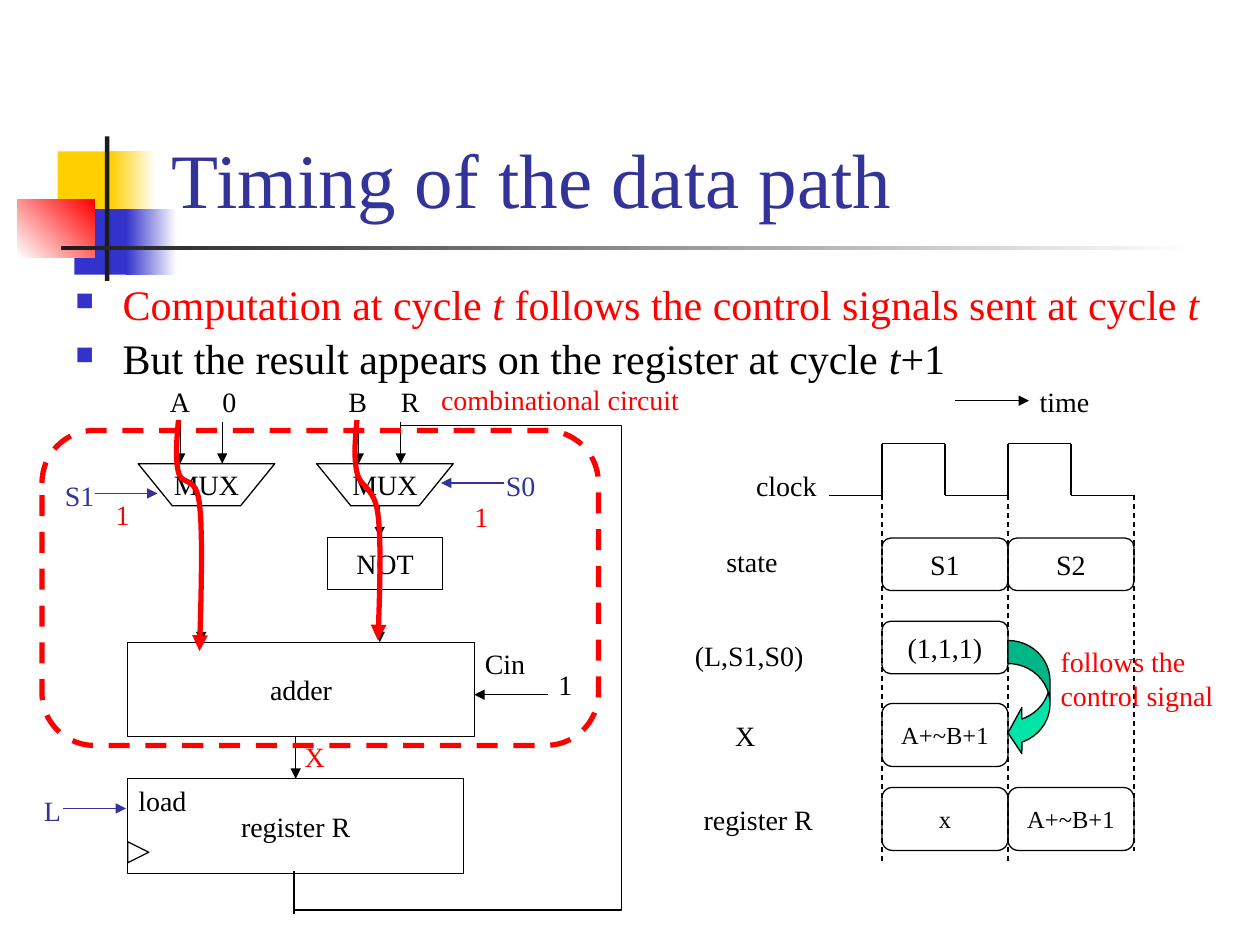
import pptx
import pptx.dml.color
import pptx.enum.dml
import pptx.enum.shapes
import pptx.enum.text
import pptx.oxml.ns
import pptx.oxml.xmlchemy
import pptx.util

Pt = pptx.util.Pt
RGBColor = pptx.dml.color.RGBColor
SHAPE = pptx.enum.shapes.MSO_SHAPE
ANCHOR = pptx.enum.text.MSO_ANCHOR
ALIGN = pptx.enum.text.PP_ALIGN
DASH = pptx.enum.dml.MSO_LINE.DASH
qn = pptx.oxml.ns.qn

BLACK = RGBColor(0x00, 0x00, 0x00)
WHITE = RGBColor(0xFF, 0xFF, 0xFF)
RED = RGBColor(0xFF, 0x00, 0x00)
NAVY = RGBColor(0x33, 0x33, 0x99)
BLUE = RGBColor(0x33, 0x33, 0xCC)
YELLOW = RGBColor(0xFF, 0xCF, 0x01)
CHARCOAL = RGBColor(0x1C, 0x1C, 0x1C)
GREEN = RGBColor(0x00, 0xE4, 0xA8)
FONT = "Times New Roman"


def add_run(paragraph, text, size=16, color=BLACK, italic=False):
    run = paragraph.add_run()
    run.text = text
    run.font.name, run.font.size = FONT, Pt(size)
    run.font.color.rgb, run.font.italic = color, italic


def append_element(parent, tag, **attributes):
    element = pptx.oxml.xmlchemy.OxmlElement(tag)
    for name, value in attributes.items():
        element.set(name, value)
    parent.append(element)
    return element


class Region:
    """A box on the slide; its parts are placed in points from its top left corner."""

    def __init__(self, slide, left, top):
        self.shapes, self.left, self.top = slide.shapes, left, top

    def place(self, x, y):
        return Pt(self.left + x), Pt(self.top + y)

    def label(self, text, x, y, width, color=BLACK):
        lines = text.split("\n")
        box = self.shapes.add_textbox(*self.place(x, y), Pt(width), Pt(7.2 + 19.4 * len(lines)))
        frame = box.text_frame
        frame.word_wrap = False
        for index, line in enumerate(lines):
            paragraph = frame.add_paragraph() if index else frame.paragraphs[0]
            add_run(paragraph, line, color=color)

    def style(self, shape, text="", size=16, fill=None, color=BLACK, weight=0.75):
        shape.shadow.inherit = False
        if fill is None:
            shape.fill.background()
        else:
            shape.fill.solid()
            shape.fill.fore_color.rgb = fill
        shape.line.color.rgb, shape.line.width = color, Pt(weight)
        if text:
            frame = shape.text_frame
            frame.word_wrap, frame.vertical_anchor = False, ANCHOR.MIDDLE
            frame.paragraphs[0].alignment = ALIGN.CENTER
            add_run(frame.paragraphs[0], text, size)
        return shape

    def box(self, kind, x, y, width, height, text="", **look):
        shape = self.shapes.add_shape(kind, *self.place(x, y), Pt(width), Pt(height))
        return self.style(shape, text, **look)

    def outline(self, points, text="", closed=False, **look):
        start, *rest = [self.place(*point) for point in points]
        builder = self.shapes.build_freeform(*start)
        builder.add_line_segments(rest, close=closed)
        return self.style(builder.convert_to_shape(), text, **look)

    def line(self, start, end, color=BLACK, arrow=False, dashed=False):
        kind = pptx.enum.shapes.MSO_CONNECTOR.STRAIGHT
        connector = self.shapes.add_connector(kind, *self.place(*start), *self.place(*end))
        connector.line.color.rgb, connector.line.width = color, Pt(0.75)
        if dashed:
            connector.line.dash_style = DASH
        if arrow:
            add_arrowhead(connector)
        append_element(connector.element.spPr, "a:effectLst")


def add_arrowhead(shape):
    append_element(shape.element.spPr.find(qn("a:ln")), "a:tailEnd", type="triangle")


def curve_points(start, segments, steps=12):
    """Points along a chain of cubic Bezier segments."""
    points = [start]
    for first, second, end in segments:
        corners = (points[-1], first, second, end)
        for step in range(1, steps + 1):
            t = step / steps
            weights = ((1 - t) ** 3, 3 * t * (1 - t) ** 2, 3 * t * t * (1 - t), t ** 3)
            points.append(tuple(sum(w * corner[axis] for w, corner in zip(weights, corners))
                                for axis in (0, 1)))
    return points


def draw_emblem(region):
    # x, y, width, height, colours from start to end, angle
    blocks = [
        (23, 8.5, 35, 37.5, (YELLOW,), 0), (53, 8.5, 26, 37.5, (YELLOW, WHITE), 0),
        (32.5, 41.5, 33, 37.5, (BLUE,), 0), (62, 41.5, 29, 37.5, (BLUE, WHITE), 0),
        (0, 36, 44, 33, (WHITE, RED), 45), (50, 0, 2.5, 82.5, (CHARCOAL,), 0),
        (25, 62.5, 648, 2.5, (CHARCOAL, WHITE), 0),
    ]
    for x, y, width, height, colors, angle in blocks:
        block = region.box(SHAPE.RECTANGLE, x, y, width, height, fill=colors[0])
        block.line.fill.background()
        if len(colors) == 2:
            block.fill.gradient()
            block.fill.gradient_angle = angle
            for stop, color in zip(block.fill.gradient_stops, colors):
                stop.color.rgb = color


def fill_title(title, left, top, width, height):
    title.left, title.top, title.width, title.height = map(Pt, (left, top, width, height))
    frame = title.text_frame
    frame.auto_size = pptx.enum.text.MSO_AUTO_SIZE.NONE
    frame.vertical_anchor = ANCHOR.BOTTOM
    frame.paragraphs[0].alignment = ALIGN.LEFT
    add_run(frame.paragraphs[0], "Timing of the data path", 44, NAVY)


def draw_bullets(slide, left, top, width, height):
    frame = slide.shapes.add_textbox(Pt(left), Pt(top), Pt(width), Pt(height)).text_frame
    frame.word_wrap = True
    bullets = [
        (RED, ["Computation at cycle ", "t", " follows the control signals sent at cycle ", "t"]),
        (BLACK, ["But the result appears on the register at cycle ", "t", "+1"]),
    ]
    for index, (color, texts) in enumerate(bullets):
        paragraph = frame.add_paragraph() if index else frame.paragraphs[0]
        paragraph.line_spacing, paragraph.space_before = 0.9, Pt(4.8)
        properties = paragraph._p.get_or_add_pPr()
        properties.set("marL", str(Pt(27)))
        properties.set("indent", str(-Pt(27)))
        bullet_color = append_element(properties, "a:buClr")
        append_element(bullet_color, "a:srgbClr", val=str(BLUE))
        append_element(properties, "a:buSzPct", val="60000")
        append_element(properties, "a:buChar", char="■")
        for text in texts:
            add_run(paragraph, text, 24, color, italic=text == "t")


def draw_mux(region, x, inputs):
    corners = [(x, 49), (x + 19.5, 73), (x + 58.5, 73), (x + 78, 49)]
    region.outline(corners, "MUX", closed=True)
    for index, (name, width) in enumerate(inputs):
        region.label(name, x + 30 * index + 11, 0, width)
        wire = x + 24 * (index + 1)
        region.line((wire, 25), (wire, 49), arrow=True)


def draw_data_path(region):
    # Multiplexers, inverter, adder and register
    draw_mux(region, 61, [("A", 26), ("0", 22)])
    draw_mux(region, 163, [("B", 25), ("R", 25)])
    region.box(SHAPE.RECTANGLE, 169, 91, 66, 30, "NOT")
    region.box(SHAPE.RECTANGLE, 55, 151, 198, 54, "adder")
    region.box(SHAPE.RECTANGLE, 55, 229, 192, 54, "register R")
    region.box(SHAPE.ISOSCELES_TRIANGLE, 55, 265, 12, 12).rotation = 90

    # Wires
    for x, top, bottom in [(97, 73, 151), (199, 73, 91), (199, 121, 151), (151, 205, 229)]:
        region.line((x, top), (x, bottom), arrow=True)
    region.line((295, 181), (253, 181), arrow=True)
    region.line((150, 282), (150, 306))
    region.outline([(211, 25), (211, 27), (337, 27), (337, 304), (150, 304), (150, 306)])

    # Control signals
    for start, end, y in [(18, 54, 246), (36, 72, 66), (270, 234, 60)]:
        region.line((start, y), (end, y), NAVY, arrow=True)
    for text, x, y, width, color in [
        ("Cin", 252, 150, 37.5, BLACK), ("1", 294, 162, 22, BLACK), ("load", 54, 228, 42, BLACK),
        ("L", 0, 234, 24.5, NAVY), ("S1", 12, 54, 32, NAVY), ("S0", 264, 48, 32, NAVY),
        ("X", 149, 203, 26, RED), ("1", 41, 65, 22, RED), ("1", 246, 66, 22, RED),
        ("combinational circuit", 227, -1, 151, RED),
    ]:
        region.label(text, x, y, width, color)

    # Combinational circuit and the active paths through it
    frame = region.box(SHAPE.ROUNDED_RECTANGLE, 6, 30, 318, 180, color=RED, weight=3)
    frame.line.dash_style = DASH
    for start, segments in [
        ((84, 24), [((83, 35), (82, 46), (84, 54)), ((86, 62), (94, 55), (96, 72)),
                    ((98, 90), (97, 122), (96, 156))]),
        ((186, 24), [((185, 35), (184, 45), (186, 54)), ((188, 63), (196, 62), (198, 78)),
                     ((200, 94), (199, 122), (198, 150))]),
    ]:
        add_arrowhead(region.outline(curve_points(start, segments), color=RED, weight=3))


def draw_timing(region):
    first, cycle, low, high = 114, 72, 67, 37.5
    # Time axis and clock
    region.line((156, 13), (198, 13), arrow=True)
    region.label("time", 197, 0, 43)
    region.label("clock", 35, 48, 49)
    clock = [(84, low)]
    for x in (first, first + cycle):
        middle = x + cycle / 2
        clock += [(x, low), (x, high), (middle, high), (middle, low)]
    clock.append((first + 2 * cycle, low))
    for start, end in zip(clock, clock[1:]):
        region.line(start, end)
    for index, bottom in enumerate((276, 276, 270)):
        x = first + index * cycle
        region.line((x, low), (x, bottom), dashed=True)

    # Values in each cycle: label, its place, then the cells
    for name, x, y, width, top, height, size, values in [
        ("state", 18, 91.5, 44, 91.5, 30, 16, ["S1", "S2"]),
        ("(L,S1,S0)", 0, 145.5, 77, 139, 30, 16, ["(1,1,1)"]),
        ("X", 23, 191, 26, 186, 36, 14, ["A+~B+1"]),
        ("register R", 5, 239, 77, 234, 36, 14, ["x", "A+~B+1"]),
    ]:
        region.label(name, x, y, width)
        for index, value in enumerate(values):
            region.box(SHAPE.ROUNDED_RECTANGLE, first + index * cycle, top, cycle, height,
                       value, size=size)

    # From control signal to result
    arrow = region.box(SHAPE.CURVED_LEFT_ARROW, 186, 150, 24, 66, fill=GREEN)
    for index, value in enumerate((0.55, 1.1, 0.33)):
        arrow.adjustments[index] = value
    region.label("follows the\ncontrol signal", 209, 149, 102, RED)


def main():
    presentation = pptx.Presentation()
    presentation.slide_width, presentation.slide_height = Pt(720), Pt(540)
    slide = presentation.slides.add_slide(presentation.slide_layouts.get_by_name("Title Only"))
    draw_emblem(Region(slide, 10, 78))
    fill_title(slide.shapes.title, 91, 16.5, 613, 115)
    draw_bullets(slide, 36, 159, 669, 69)
    draw_data_path(Region(slide, 18, 216))
    draw_timing(Region(slide, 390, 216))
    presentation.save("out.pptx")


if __name__ == "__main__":
    main()
